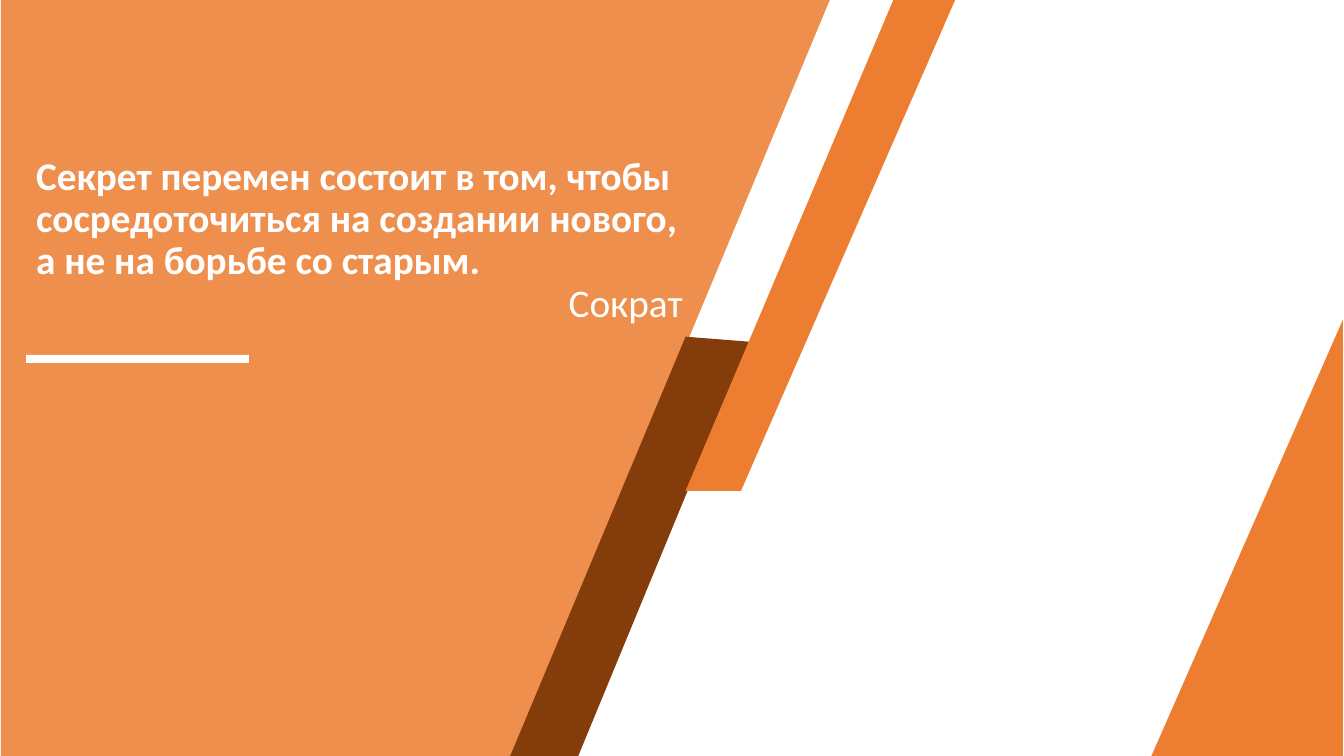
from lxml.etree import SubElement
from pptx import Presentation
from pptx.dml.color import RGBColor
from pptx.enum.shapes import MSO_SHAPE
from pptx.enum.text import MSO_ANCHOR, PP_ALIGN
from pptx.oxml.ns import qn
from pptx.util import Inches, Pt

COLORS = {"orange": "ED7D31", "brown": "843C0B", "white": "FFFFFF"}


class SlideBuilder:
    font_name = "Calibri"
    font_size = Pt(28)
    line_spacing = 0.9

    def __init__(self, slide):
        self.slide = slide

    def paint(self, shape, color, opacity=100):
        shape.shadow.inherit = False
        shape.line.fill.background()
        shape.fill.solid()
        shape.fill.fore_color.rgb = RGBColor.from_string(COLORS[color])
        if opacity < 100:
            color_element = shape.fill._xPr.find(qn("a:solidFill"))[0]
            SubElement(color_element, qn("a:alpha"), val=str(opacity * 1000))

    def polygon(self, points, color, opacity=100):
        start, *others = [(Inches(x), Inches(y)) for x, y in points]
        builder = self.slide.shapes.build_freeform(*start)
        builder.add_line_segments(others, close=True)
        self.paint(builder.convert_to_shape(), color, opacity)

    def preset(self, kind, box, color, adjustments=()):
        shape = self.slide.shapes.add_shape(kind, *map(Inches, box))
        for index, value in enumerate(adjustments):
            shape.adjustments[index] = value
        self.paint(shape, color)

    def text(self, box, paragraphs, color):
        frame = self.slide.shapes.add_textbox(*map(Inches, box)).text_frame
        frame.word_wrap = True
        frame.vertical_anchor = MSO_ANCHOR.BOTTOM
        for index, (words, bold, alignment) in enumerate(paragraphs):
            paragraph = frame.add_paragraph() if index else frame.paragraphs[0]
            paragraph.alignment = alignment
            paragraph.line_spacing = self.line_spacing
            run = paragraph.add_run()
            run.text = words
            run.font.name = self.font_name
            run.font.size = self.font_size
            run.font.bold = bold
            run.font.color.rgb = RGBColor.from_string(COLORS[color])


def main():
    presentation = Presentation()
    presentation.slide_width = Inches(13.33)
    presentation.slide_height = Inches(7.5)
    slide = presentation.slides.add_slide(presentation.slide_layouts[6])
    builder = SlideBuilder(slide)

    # Slanted panel and stripes
    builder.polygon(
        [(0.01, 0), (8.23, 0), (5.08, 7.56), (5.03, 7.5), (0.01, 7.5)],
        "orange", opacity=86)
    builder.polygon([(6.8, 3.34), (7.43, 3.39), (5.69, 7.61), (5.01, 7.62)], "brown")
    builder.polygon([(8.92, -0.14), (9.53, -0.13), (7.35, 4.87), (6.8, 4.87)], "orange")

    # Corner triangle with its apex at the right
    builder.preset(MSO_SHAPE.ISOSCELES_TRIANGLE, (11.42, 3.17, 1.9, 4.33), "orange", [1])

    # Quotation with its underline
    builder.preset(MSO_SHAPE.RECTANGLE, (0.26, 3.52, 2.21, 0.08), "white")
    builder.text((0.26, 1.36, 6.61, 1.92), [
        ("Секрет перемен состоит в том, чтобы сосредоточиться на создании нового,",
         True, PP_ALIGN.LEFT),
        ("а не на борьбе со старым.", True, PP_ALIGN.LEFT),
        ("Сократ", False, PP_ALIGN.RIGHT),
    ], "white")

    presentation.save("out.pptx")


if __name__ == "__main__":
    main()
